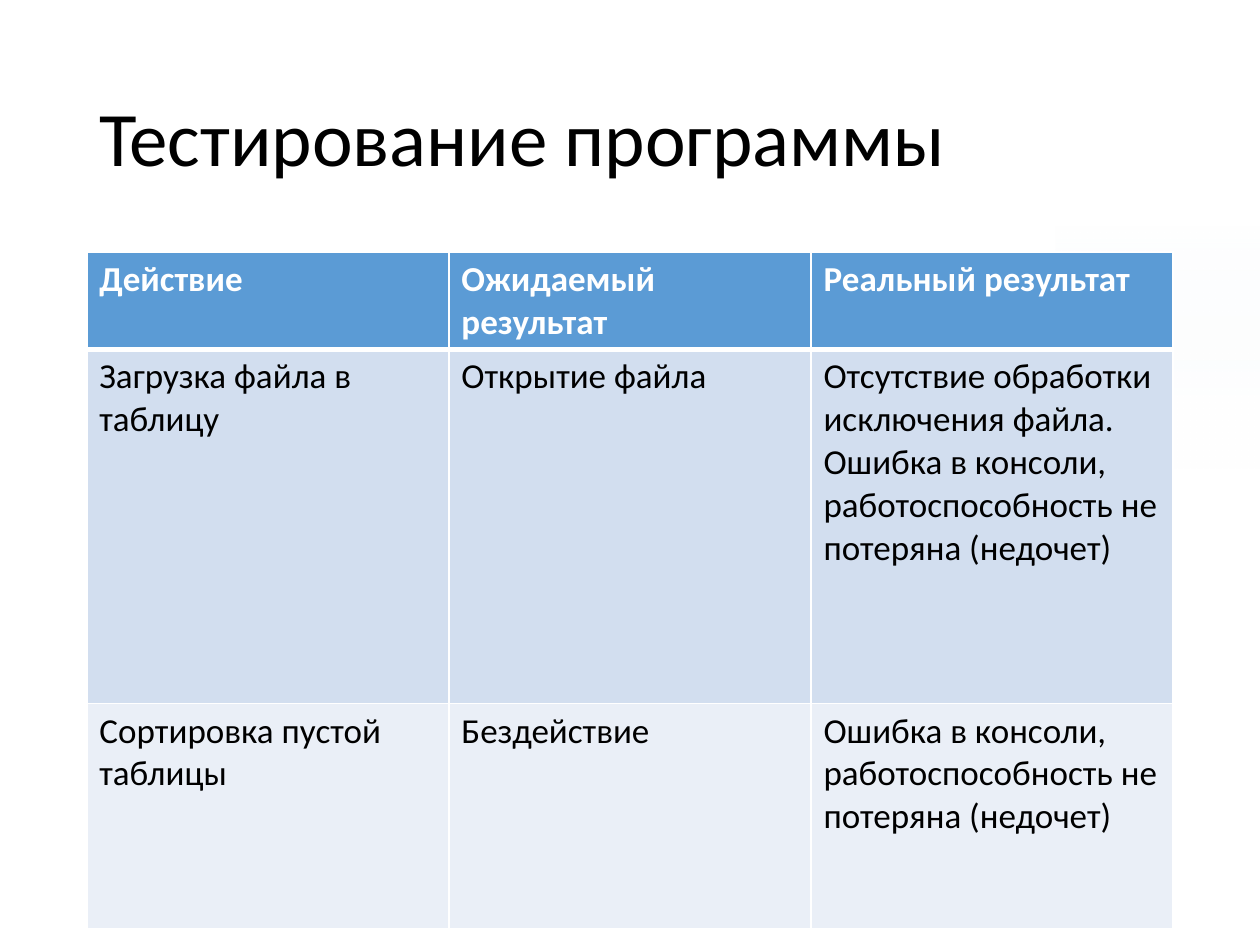
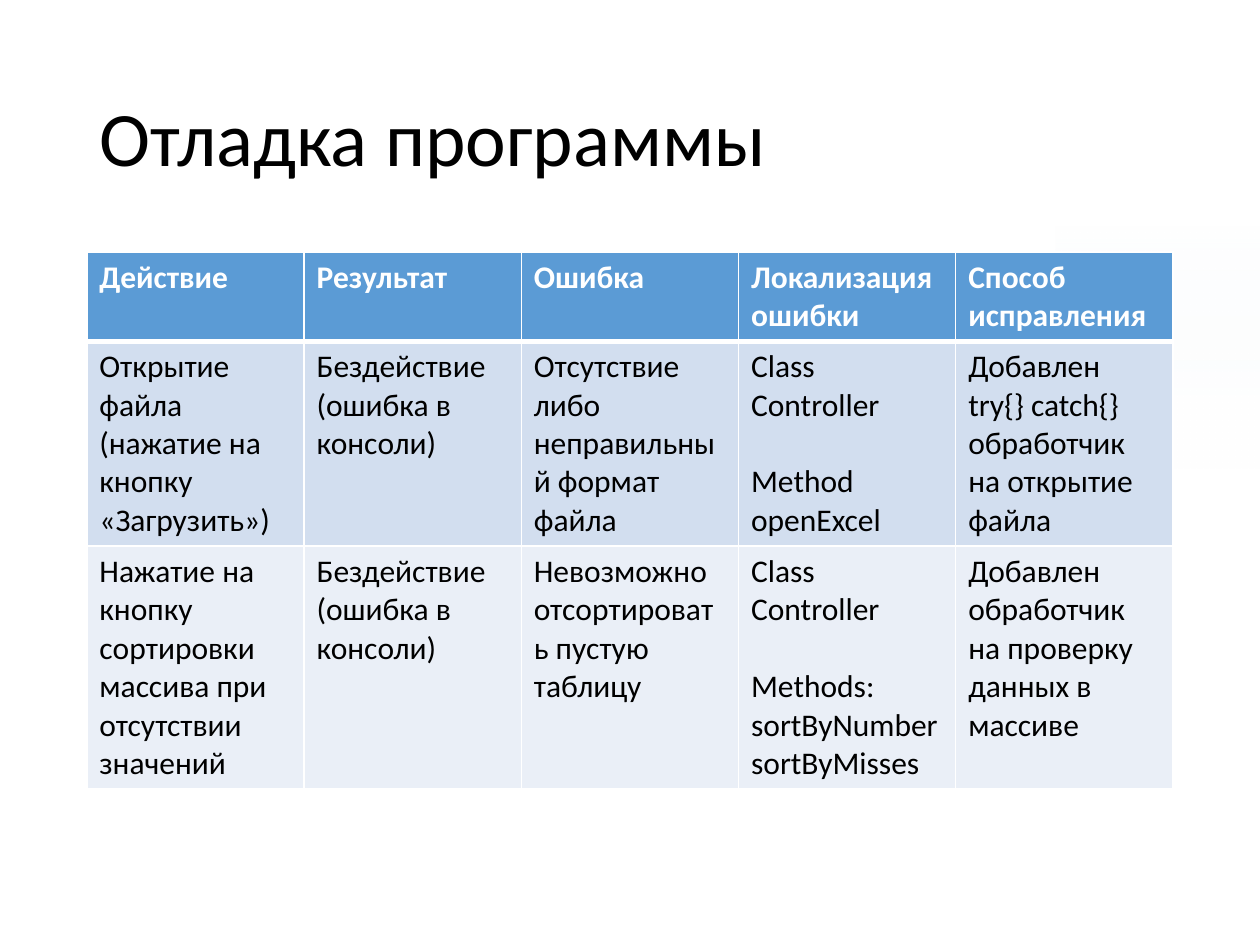
from dataclasses import dataclass

from lxml import etree
from pptx import Presentation
from pptx import util as u
from pptx.dml.color import RGBColor
from pptx.enum import shapes, text
from pptx.oxml.ns import qn

WHITE = RGBColor(0xFF, 0xFF, 0xFF)
BLACK = RGBColor(0x00, 0x00, 0x00)
HEADER_BLUE = RGBColor(0x5B, 0x9B, 0xD5)
ROW_BLUES = (RGBColor(0xD2, 0xDE, 0xEF), RGBColor(0xEA, 0xEF, 0xF7))
PANEL_TINT = RGBColor(0xF7, 0xFA, 0xFD)

LEFT, WIDTH = u.Cm(1.75), u.Cm(21.9)
TITLE_TOP, TITLE_HEIGHT = u.Cm(1.01), u.Cm(3.68)
TABLE_TOP = u.Cm(5.08)
THIN, THICK = u.Pt(1), u.Pt(3)
GAP = "^"  # leads a paragraph that stands one line lower

TITLE_FONT = {"name": "Calibri", "size": u.Pt(44), "bold": False}


@dataclass(frozen=True)
class Report:
    title: str
    font_size: int
    row_heights: tuple[float, ...]  # centimetres
    rows: tuple[tuple[str, ...], ...]  # header first


REPORTS = (
    Report(
        "Тестирование программы", 20, (1.96, 7.14, 4.55),
        (
            ("Действие", "Ожидаемый результат", "Реальный результат"),
            ("Загрузка файла в таблицу", "Открытие файла",
             "Отсутствие обработки исключения файла. Ошибка в консоли, "
             "работоспособность не потеряна (недочет)"),
            ("Сортировка пустой таблицы", "Бездействие",
             "Ошибка в консоли, работоспособность не потеряна (недочет)"),
        ),
    ),
    Report(
        "Отладка программы", 18, (1.8, 4.13, 4.9),
        (
            ("Действие", "Результат", "Ошибка", "Локализация ошибки",
             "Способ исправления"),
            ("Открытие файла (нажатие на кнопку «Загрузить»)",
             "Бездействие\n(ошибка в консоли)",
             "Отсутствие либо неправильный формат файла",
             "Class Controller\n^Method openExcel",
             "Добавлен try{} catch{} обработчик на открытие файла"),
            ("Нажатие на кнопку сортировки массива при отсутствии значений",
             "Бездействие\n(ошибка в консоли)",
             "Невозможно отсортировать пустую таблицу",
             "Class Controller\n^Methods:\nsortByNumber\nsortByMisses",
             "Добавлен обработчик на проверку данных в массиве"),
        ),
    ),
)


def write(frame, content: str, font: dict, colour: RGBColor) -> None:
    for index, line in enumerate(content.split("\n")):
        paragraph = frame.add_paragraph() if index else frame.paragraphs[0]
        if line.startswith(GAP):
            paragraph.space_before = u.Pt(round(font["size"].pt * 1.22))
        run = paragraph.add_run()
        run.text = line.removeprefix(GAP)
        for name, value in font.items():
            setattr(run.font, name, value)
        run.font.color.rgb = colour


def add_side_panel(slide) -> None:
    panel = slide.shapes.add_shape(
        shapes.MSO_SHAPE.RECTANGLE, u.Cm(21.28), u.Cm(4.57), u.Cm(4.12), u.Cm(4.88))
    panel.shadow.inherit = False
    panel.line.fill.background()
    panel.fill.gradient()
    panel.fill.gradient_angle = 270  # counter-clockwise: top to bottom
    stops = panel.fill.gradient_stops
    for stop, colour, position in zip(stops, (PANEL_TINT, WHITE), (0, 0.74)):
        stop.color.rgb = colour
        stop.position = position
    # The tint starts fully transparent
    tint = next(panel.fill._xPr.iter(qn("a:srgbClr")))
    etree.SubElement(tint, qn("a:alpha"), val="0")


def add_title(slide, title: str) -> None:
    frame = slide.shapes.add_textbox(LEFT, TITLE_TOP, WIDTH, TITLE_HEIGHT).text_frame
    frame.word_wrap = True
    frame.vertical_anchor = text.MSO_ANCHOR.MIDDLE
    write(frame, title, TITLE_FONT, BLACK)
    frame.paragraphs[0].line_spacing = 0.9


def add_borders(cell, row: int) -> None:
    """White rules, heavier between the header and the body."""
    widths = {"L": THIN, "R": THIN,
              "T": THICK if row == 1 else THIN,
              "B": THICK if row == 0 else THIN}
    properties = cell._tc.get_or_add_tcPr()
    for side, width in widths.items():
        line = etree.SubElement(properties, qn(f"a:ln{side}"), w=str(int(width)))
        fill = etree.SubElement(line, qn("a:solidFill"))
        etree.SubElement(fill, qn("a:srgbClr"), val=str(WHITE))


def add_report_table(slide, report: Report) -> None:
    heights = [u.Cm(height) for height in report.row_heights]
    column_count = len(report.rows[0])
    table = slide.shapes.add_table(
        len(heights), column_count, LEFT, TABLE_TOP, WIDTH, sum(heights)).table
    for column in table.columns:
        column.width = WIDTH // column_count
    for row, (height, contents) in enumerate(zip(heights, report.rows)):
        table.rows[row].height = height
        is_header = row == 0
        font = {"name": "Calibri", "size": u.Pt(report.font_size), "bold": is_header}
        for column, content in enumerate(contents):
            cell = table.cell(row, column)
            add_borders(cell, row)
            cell.fill.solid()
            cell.fill.fore_color.rgb = HEADER_BLUE if is_header else ROW_BLUES[(row - 1) % 2]
            write(cell.text_frame, content, font, WHITE if is_header else BLACK)


def main() -> None:
    deck = Presentation()
    deck.slide_width, deck.slide_height = u.Cm(25.4), u.Cm(19.05)
    for report in REPORTS:
        slide = deck.slides.add_slide(deck.slide_layouts[6])
        add_side_panel(slide)
        add_title(slide, report.title)
        add_report_table(slide, report)
    deck.save("out.pptx")


if __name__ == "__main__":
    main()
